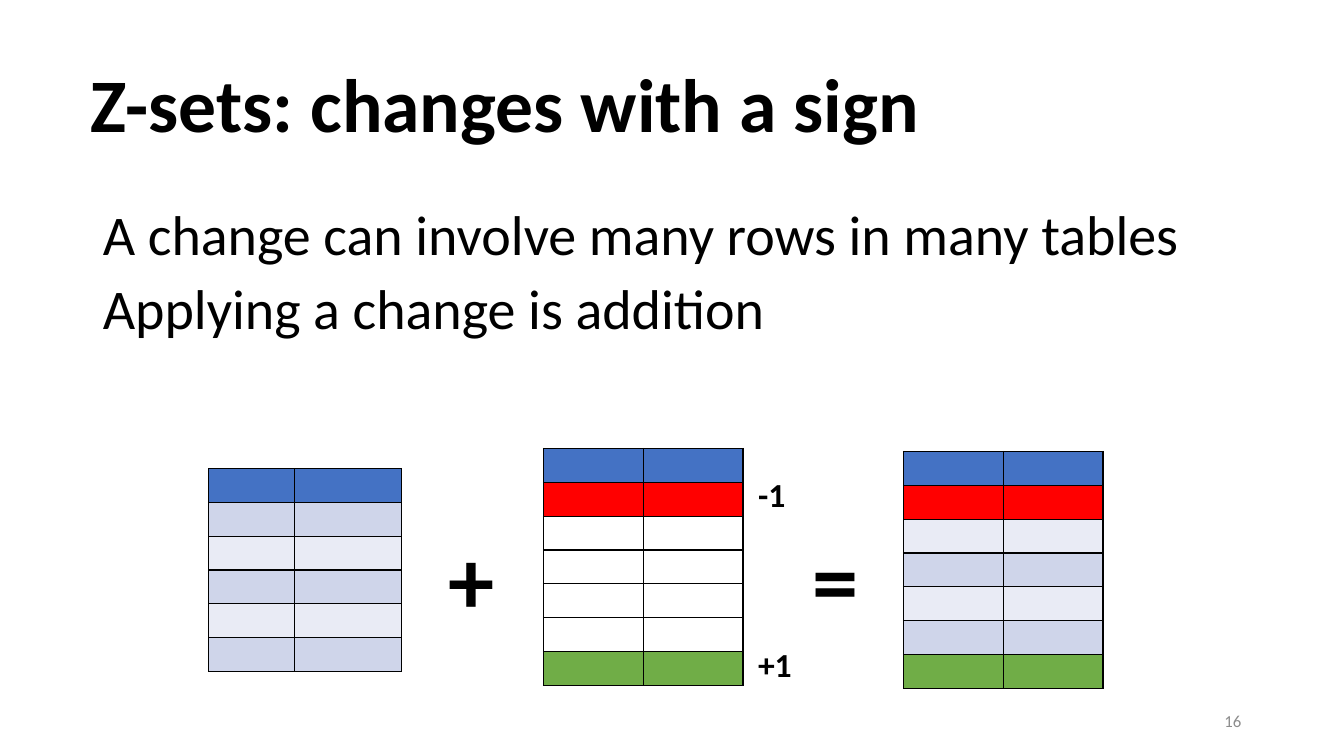
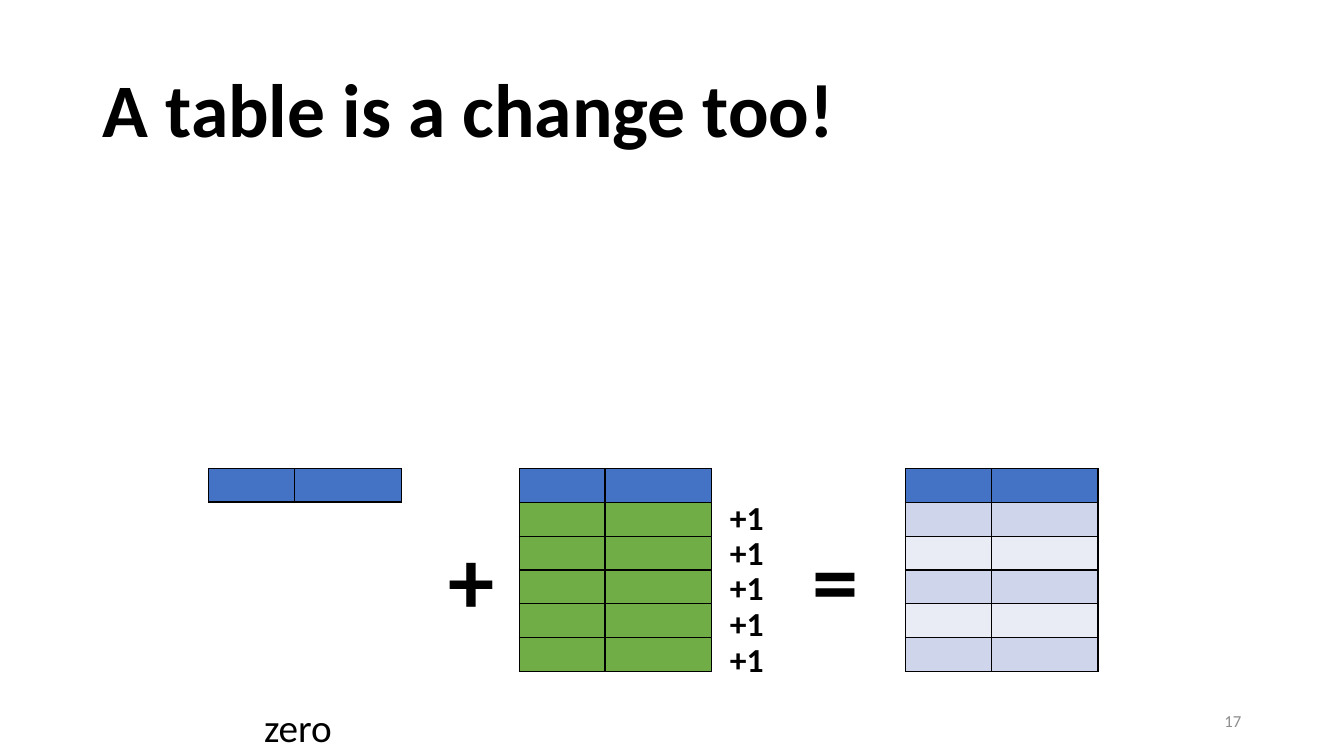
"""Build two slides that explain Z-sets as additions of tables."""
from pptx import Presentation
from pptx.dml.color import RGBColor
from pptx.enum.text import MSO_ANCHOR as Anchor, MSO_AUTO_SIZE as AutoSize, PP_ALIGN as Align
from pptx.oxml import parse_xml
from pptx.oxml.ns import nsdecls
from pptx.util import Pt

PX = 9144
FONT = "Calibri"
BLACK = RGBColor(0x00, 0x00, 0x00)
GRAY = RGBColor(0x8C, 0x8C, 0x8C)
HEADER = RGBColor(0x44, 0x72, 0xC4)
DARK = RGBColor(0xCF, 0xD5, 0xEA)
LIGHT = RGBColor(0xE9, 0xEB, 0xF5)
REMOVED = RGBColor(0xFF, 0x00, 0x00)
ADDED = RGBColor(0x70, 0xAD, 0x47)

NARROW = (85, 106)
EVEN = (99, 99)
BANDS = [DARK, LIGHT, DARK, LIGHT, DARK]
OPERATORS = [("+", 435), ("=", 796)]

SLIDES = [
    {
        "number": "16",
        "title": ("Z-sets: changes with a sign", (80, 35, 1183, 145)),
        "body": ["A change can involve many rows in many tables",
                 "Applying a change is addition"],
        "tables": [
            (207, 465, NARROW, 201, [HEADER] + BANDS),
            (539, 445, EVEN, 235, [HEADER, REMOVED] + [None] * 4 + [ADDED]),
            (896, 448, EVEN, 235, [HEADER, REMOVED] + BANDS[1:] + [ADDED]),
        ],
        "signs": [("-1", 742, 465), ("+1", 742, 634)],
        "caption": None,
    },
    {
        "number": "17",
        "title": ("A table is a change too!", (92, 40, 1150, 145)),
        "body": [],
        "tables": [
            (207, 465, NARROW, 33, [HEADER]),
            (515, 465, NARROW, 201, [HEADER] + [ADDED] * 5),
            (898, 465, NARROW, 201, [HEADER] + BANDS),
        ],
        "signs": [("+1", 714, 488 + 141 * i // 4) for i in range(5)],
        "caption": "zero",
    },
]


def place(sp, box):
    sp.left, sp.top, sp.width, sp.height = [v * PX for v in box]


def write(tf, lines, size, color=BLACK, bold=False, align=Align.LEFT,
          anchor=Anchor.TOP, wrap=True, spacing=None, before=0):
    tf.word_wrap = wrap
    tf.auto_size = AutoSize.NONE
    tf.vertical_anchor = anchor
    for i, line in enumerate(lines):
        p = tf.paragraphs[0] if i == 0 else tf.add_paragraph()
        p.alignment = align
        p.line_spacing = spacing
        p.space_before = Pt(before if i else 0)
        r = p.add_run()
        r.text = line
        r.font.name, r.font.size, r.font.bold = FONT, Pt(size), bold
        r.font.color.rgb = color


def add_text(s, text, box, size, **fmt):
    sp = s.shapes.add_textbox(*[v * PX for v in box])
    write(sp.text_frame, [text], size, **fmt)


def remove_bullets(tf):
    for p in tf.paragraphs:
        pPr = p._p.get_or_add_pPr()
        pPr.set("marL", "0")
        pPr.set("indent", "0")
        pPr.append(parse_xml(f"<a:buNone {nsdecls('a')}/>"))


def style_cell(cell, color):
    cell.margin_left = cell.margin_right = cell.margin_top = cell.margin_bottom = 0
    cell.text_frame.paragraphs[0]._p.get_or_add_endParaRPr().set("sz", "1200")
    tcPr = cell._tc.get_or_add_tcPr()
    for side in ("lnL", "lnR", "lnT", "lnB"):
        tcPr.append(parse_xml(
            f'<a:{side} {nsdecls("a")} w="{Pt(1)}"><a:solidFill>'
            f'<a:srgbClr val="{BLACK}"/></a:solidFill></a:{side}>'))
    if color is None:
        cell.fill.background()
    else:
        cell.fill.solid()
        cell.fill.fore_color.rgb = color


def add_grid(s, left, top, widths, height, colors):
    tbl = s.shapes.add_table(len(colors), len(widths), left * PX, top * PX,
                             sum(widths) * PX, height * PX).table
    for col, width in zip(tbl.columns, widths):
        col.width = width * PX
    for row, color in zip(tbl.rows, colors):
        row.height = height * PX // len(colors)
        for cell in row.cells:
            style_cell(cell, color)


def build_slide(prs, data):
    layout = prs.slide_layouts[1 if data["body"] else 5]
    s = prs.slides.add_slide(layout)
    title, box = data["title"]
    place(s.shapes.title, box)
    write(s.shapes.title.text_frame, [title], 54, bold=True,
          anchor=Anchor.MIDDLE, spacing=0.9)
    if data["body"]:
        body = s.placeholders[1]
        place(body, (92, 200, 1150, 476))
        write(body.text_frame, data["body"], 40, spacing=0.9, before=10)
        remove_bullets(body.text_frame)
    for grid in data["tables"]:
        add_grid(s, *grid)
    for sign, left, top in data["signs"]:
        add_text(s, sign, (left, top, 56, 50), 24, bold=True)
    for operator, left in OPERATORS:
        add_text(s, operator, (left, 513, 66, 121), 66, bold=True, wrap=False)
    if data["caption"]:
        add_text(s, data["caption"], (252, 693, 88, 57), 28, wrap=False)
    add_text(s, data["number"], (1199, 695, 42, 40), 12, color=GRAY,
             align=Align.RIGHT, anchor=Anchor.MIDDLE)


def main():
    prs = Presentation()
    prs.slide_width, prs.slide_height = 1333 * PX, 750 * PX
    for data in SLIDES:
        build_slide(prs, data)
    prs.save("out.pptx")


if __name__ == "__main__":
    main()
